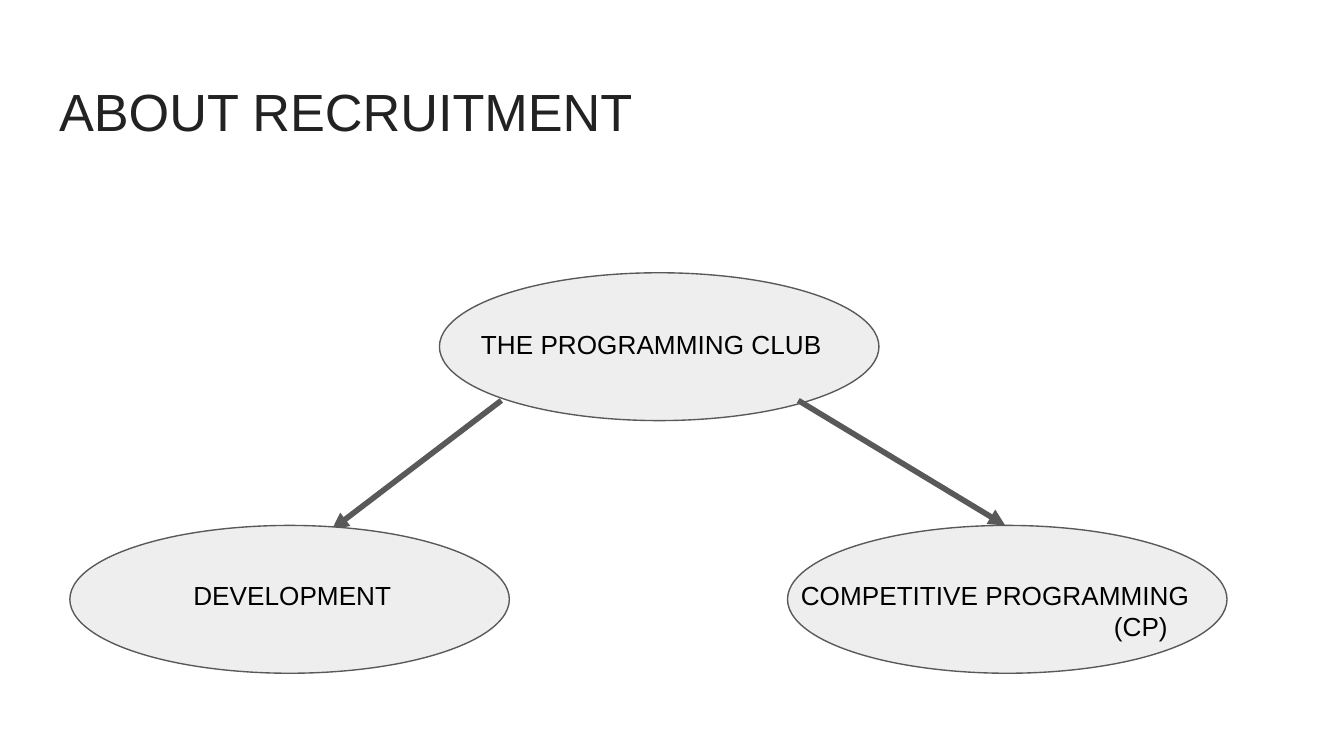
from lxml.etree import SubElement
from pptx import Presentation
from pptx.dml.color import RGBColor
from pptx.enum.shapes import MSO_CONNECTOR as Link, MSO_SHAPE as Shape
from pptx.enum.text import MSO_ANCHOR as Anchor, PP_ALIGN as Align
from pptx.oxml.ns import qn
from pptx.util import Inches, Pt

GRAY = "595959"


def color(code):
    return RGBColor.from_string(code)


def style(frame, size, code):
    frame.word_wrap = True
    frame.vertical_anchor = Anchor.TOP
    frame.margin_left = frame.margin_right = Inches(0.1)
    frame.margin_top = frame.margin_bottom = Inches(0.1)
    for para in frame.paragraphs:
        para.alignment = Align.LEFT
        for run in para.runs:
            run.font.name = "Arial"
            run.font.size = Pt(size)
            run.font.color.rgb = color(code)


def set_title(slide, text):
    title = slide.shapes.title
    title.left, title.top = Inches(0.34), Inches(0.49)
    title.width, title.height = Inches(9.32), Inches(0.63)
    title.text_frame.text = text
    style(title.text_frame, 28, "222222")


def add_oval(slide, left, top):
    oval = slide.shapes.add_shape(
        Shape.OVAL, Inches(left), Inches(top), Inches(3.27), Inches(1.1))
    oval.shadow.inherit = False
    oval.fill.solid()
    oval.fill.fore_color.rgb = color("EEEEEE")
    oval.line.color.rgb = color(GRAY)
    oval.line.width = Pt(0.75)


def add_label(slide, left, top, text):
    box = slide.shapes.add_textbox(
        Inches(left), Inches(top), Inches(6.75), Inches(0.79))
    box.text_frame.text = text
    style(box.text_frame, 14, "000000")
    return box.text_frame


def indent(para, left):
    props = para._p.get_or_add_pPr()
    props.set("marL", str(Inches(left)))
    props.set("indent", "0")


def add_arrow(slide, start, end):
    arrow = slide.shapes.add_connector(
        Link.STRAIGHT, *[Inches(value) for value in start + end])
    arrow.line.color.rgb = color(GRAY)
    arrow.line.width = Pt(3)
    SubElement(arrow.line._get_or_add_ln(), qn("a:tailEnd"), type="triangle")
    SubElement(arrow._element.spPr, qn("a:effectLst"))


def main():
    deck = Presentation()
    deck.slide_width = Inches(10)
    deck.slide_height = Inches(10 * 9 / 16)
    slide = deck.slides.add_slide(deck.slide_layouts[5])
    set_title(slide, "ABOUT RECRUITMENT")

    add_oval(slide, 3.27, 2.03)
    add_label(slide, 3.48, 2.34, "THE PROGRAMMING CLUB")
    add_arrow(slide, (3.73, 2.98), (2.47, 3.94))
    add_arrow(slide, (5.94, 2.98), (7.48, 3.91))
    add_oval(slide, 0.52, 3.91)
    add_label(slide, 1.34, 4.21, "DEVELOPMENT")
    add_oval(slide, 5.86, 3.91)
    track = add_label(slide, 5.86, 4.21, "COMPETITIVE PROGRAMMING\n(CP)")
    indent(track.paragraphs[1], 2.33)

    deck.save("out.pptx")


if __name__ == "__main__":
    main()
